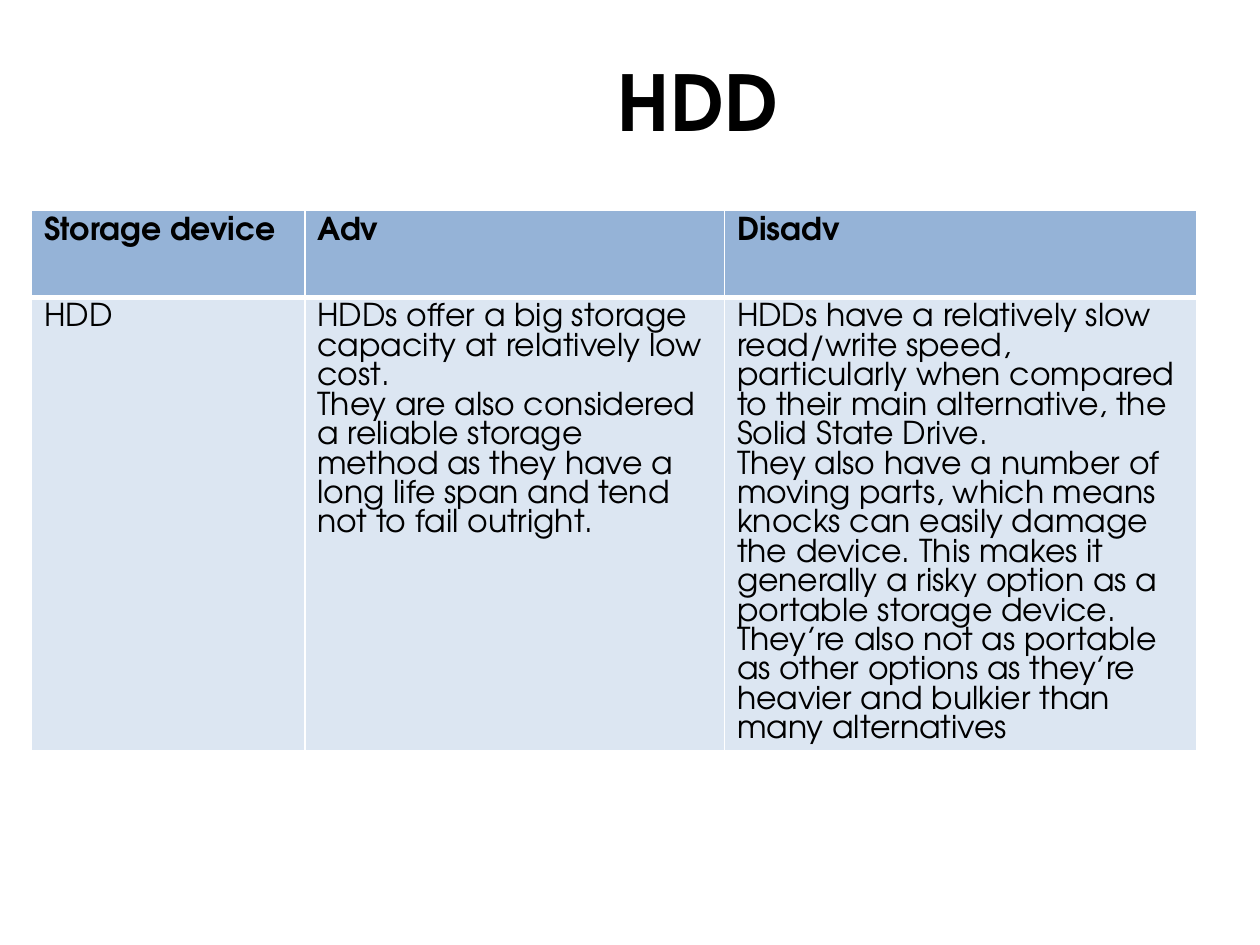
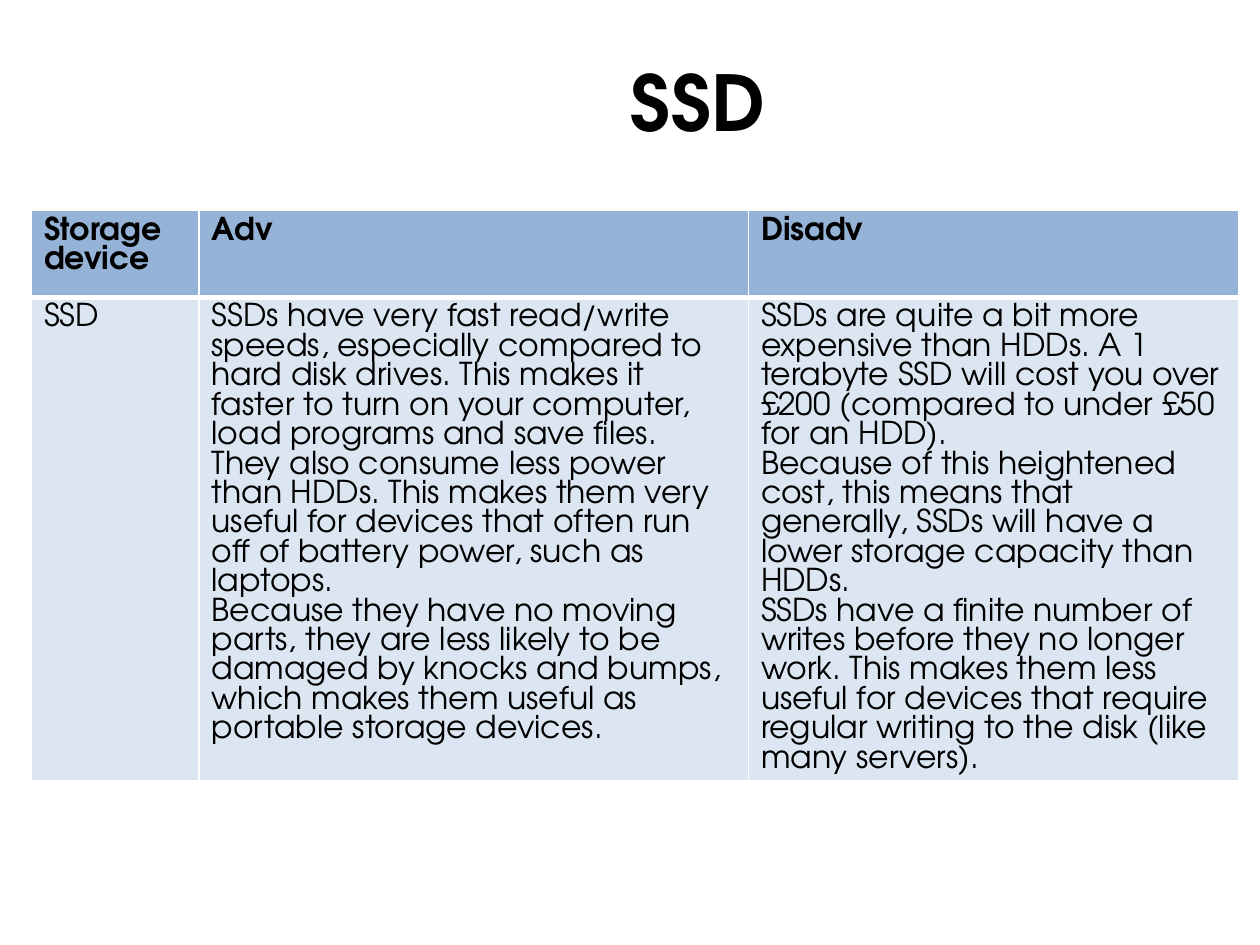
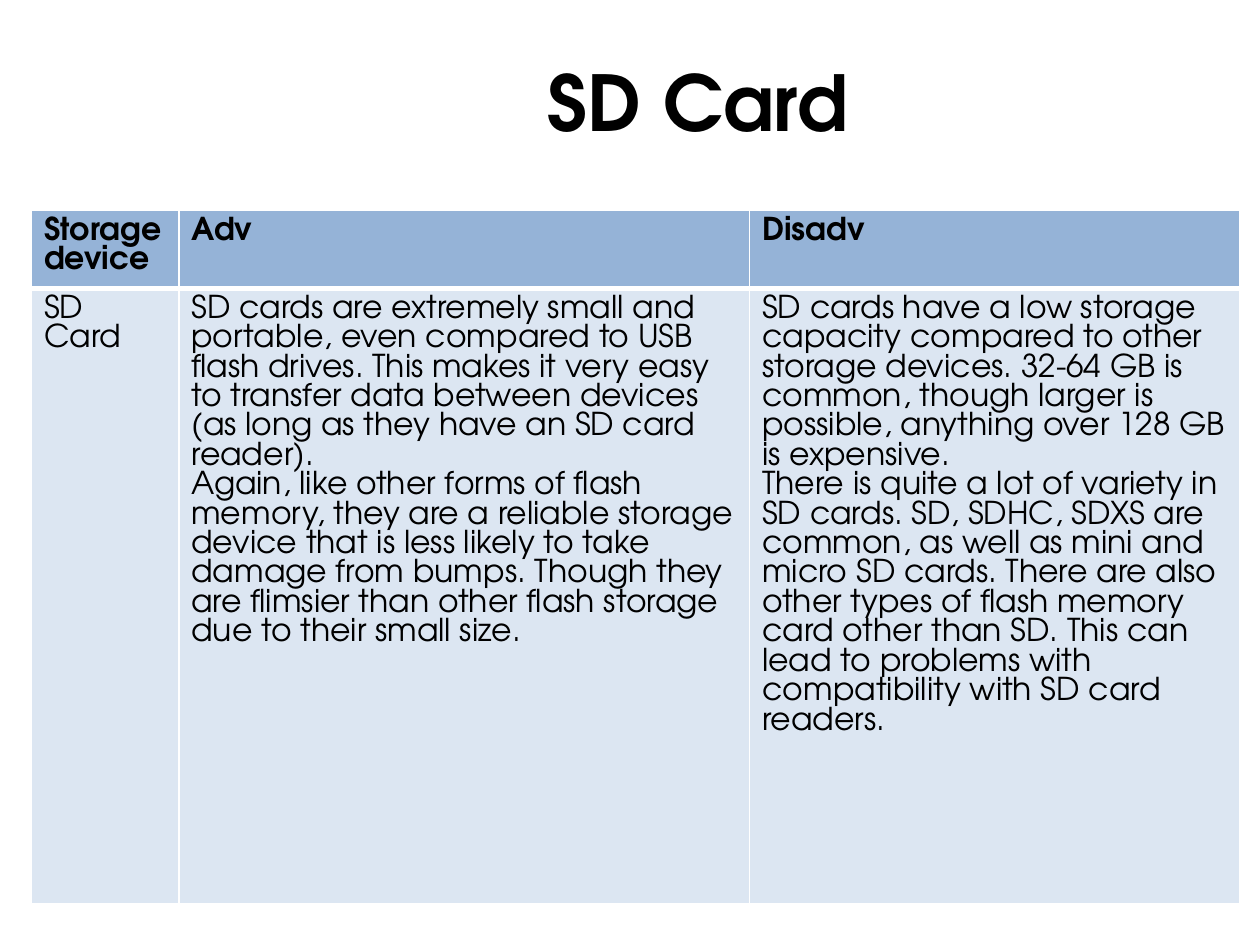
from lxml.etree import SubElement
from pptx import Presentation
from pptx.dml.color import RGBColor
from pptx.enum.text import MSO_ANCHOR as Anchor, PP_ALIGN as Align
from pptx.oxml.ns import qn
from pptx.util import Inches, Pt

WIDTH, HEIGHT = Inches(10), Inches(7.5)
FONT = "TeX Gyre Adventor"
INK, PAPER = "000000", "FFFFFF"
HEADER_FILL, BODY_FILL = "95B3D7", "DCE6F2"
HEADINGS = ["Storage device", "Adv", "Disadv"]
TITLE_ONLY = 5
THIN, THICK = 1, 3

DEVICES = [
    {
        "name": "HDD",
        "columns": [21.7, 33.3, 37.5],
        "rows": [9.2, 5.47],
        "height": 70.53,
        "advantages": [
            "HDDs offer a big storage capacity at relatively low cost. ",
            "They are also considered a reliable storage method as they have a "
            "long life span and tend not to fail outright.",
        ],
        "disadvantages": [
            "HDDs have a relatively slow read/write speed, particularly when "
            "compared to their main alternative, the Solid State Drive.",
            "They also have a number of moving parts, which means knocks can "
            "easily damage the device. This makes it generally a risky option "
            "as a portable storage device.",
            "They’re also not as portable as other options as they’re heavier "
            "and bulkier than many alternatives",
        ],
    },
    {
        "name": "SSD",
        "columns": [13.3, 43.6, 38.9],
        "rows": [9.2, 5.47],
        "height": 74.67,
        "advantages": [
            "SSDs\u00a0have very fast read/write speeds, especially compared to "
            "hard disk drives. This makes it faster to turn on your computer, "
            "load programs and save files.",
            "They also consume less power than HDDs. This makes them very "
            "useful for devices that often run off of battery power, such as "
            "laptops.",
            "Because they have no moving parts, they are less likely to be "
            "damaged by knocks and bumps, which makes them useful as portable "
            "storage devices.",
        ],
        "disadvantages": [
            "SSDs are quite a bit more expensive\u00a0than HDDs. A 1 terabyte "
            "SSD will cost you over £200 (compared to under £50 for an HDD).",
            "Because of this heightened cost, this means that generally, SSDs "
            "will have a lower storage capacity than HDDs.",
            "SSDs have a finite number of writes before they no longer work. "
            "This makes them less useful for devices that require regular "
            "writing to the disk (like many servers).",
        ],
    },
    {
        "name": "SD Card",
        "columns": [11.7, 45.3, 38.9],
        "rows": [8.27, 65.07],
        "height": 74.67,
        "advantages": [
            "SD cards are extremely small and portable, even compared to USB "
            "flash drives. This makes it very easy to transfer data between "
            "devices (as long as they have an SD card reader).",
            "Again, like other forms of flash memory, they are a reliable "
            "storage device\u00a0that is less likely to take damage from bumps. "
            "Though they are flimsier than other flash storage due to their "
            "small size.",
        ],
        "disadvantages": [
            "SD cards have a low storage capacity compared to other storage "
            "devices. 32-64 GB is common, though larger is possible, anything "
            "over 128 GB is expensive.",
            "There is quite a lot of variety in SD cards. SD, SDHC, SDXS are "
            "common, as well as mini and micro SD cards. There are also other "
            "types of flash memory card other than SD. This can lead to "
            "problems with compatibility with SD card readers.",
        ],
    },
]


def color(value):
    return RGBColor.from_string(value)


def across(percent):
    return round(WIDTH * percent / 100)


def down(percent):
    return round(HEIGHT * percent / 100)


def write(frame, lines, size, bold, align=None):
    frame.text = "\n".join(lines)
    for para in frame.paragraphs:
        para.alignment = align
        for span in para.runs:
            span.font.name = FONT
            span.font.size = Pt(size)
            span.font.bold = bold
            span.font.color.rgb = color(INK)


def add_border(cell, side, points):
    line = SubElement(cell._tc.get_or_add_tcPr(), qn(f"a:ln{side}"), w=str(Pt(points)))
    fill = SubElement(line, qn("a:solidFill"))
    SubElement(fill, qn("a:srgbClr"), val=PAPER)


def format_cell(cell, lines, is_header):
    write(cell.text_frame, lines, 18, is_header)
    top, bottom = (THIN, THICK) if is_header else (THICK, THIN)
    for side, points in zip("LRTB", (THIN, THIN, top, bottom)):
        add_border(cell, side, points)
    cell.fill.solid()
    cell.fill.fore_color.rgb = color(HEADER_FILL if is_header else BODY_FILL)


def set_title(page, text):
    title = page.shapes.title
    title.left, title.top = across(10.8), down(2.27)
    title.width, title.height = across(89.2), down(16.67)
    title.text_frame.vertical_anchor = Anchor.MIDDLE
    write(title.text_frame, [text], 44, True, Align.CENTER)


def add_comparison(page, device):
    content = [
        [[heading] for heading in HEADINGS],
        [[device["name"]], device["advantages"], device["disadvantages"]],
    ]
    holder = page.shapes.add_table(
        len(content), len(HEADINGS), across(2.5), down(22.27),
        across(sum(device["columns"])), down(device["height"]),
    )
    table = holder.table
    for column, share in zip(table.columns, device["columns"]):
        column.width = across(share)
    for row, share, texts in zip(table.rows, device["rows"], content):
        row.height = down(share)
        for cell, lines in zip(row.cells, texts):
            format_cell(cell, lines, texts is content[0])
    holder.height = down(device["height"])


def main():
    deck = Presentation()
    deck.slide_width, deck.slide_height = WIDTH, HEIGHT
    for device in DEVICES:
        page = deck.slides.add_slide(deck.slide_layouts[TITLE_ONLY])
        set_title(page, device["name"])
        add_comparison(page, device)
    deck.save("out.pptx")


main()
